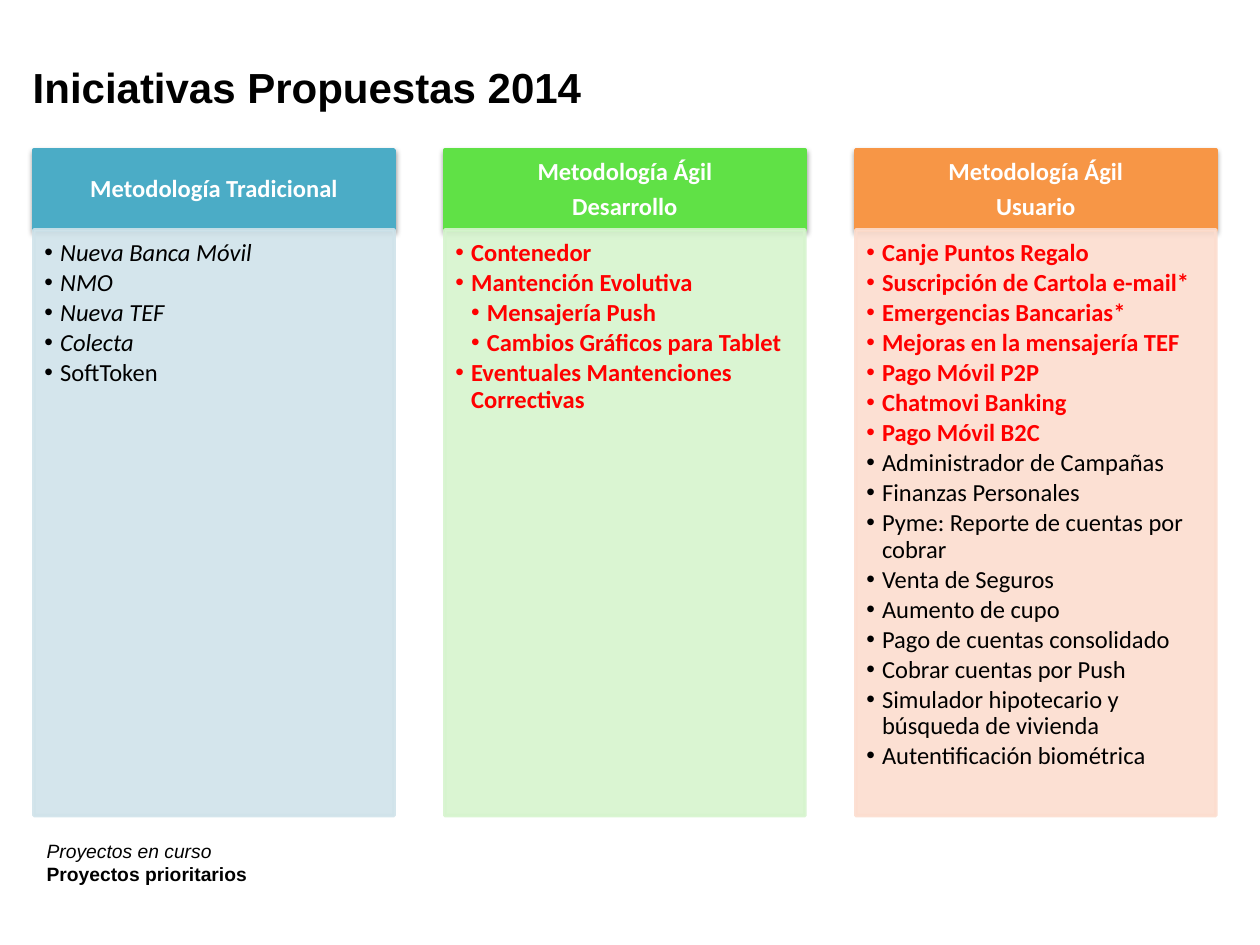
from pptx import Presentation
from pptx import util as u
from pptx.dml.color import RGBColor
from pptx.enum import shapes, text
from pptx.oxml import parse_xml
from pptx.oxml.ns import nsdecls, qn

Pt = u.Pt


class Theme:
    black, white, red = "000000", "FFFFFF", "FF0000"
    blue, pale_blue = "4BACC6", "D0E3EA"
    green, pale_green = "60E146", "D6F4CE"
    orange, pale_orange = "F79646", "FCDDCF"
    heading_font, column_font = "Arial", "Calibri"
    title_size, column_size, key_size = 24, 14, 11


def write(box, lines, *, font, size, color=Theme.black, align=text.PP_ALIGN.LEFT,
          anchor=text.MSO_ANCHOR.TOP, insets=(7.2, 3.6, 7.2, 3.6), spacing=1.0,
          after=0, bullet=False, wrap=True):
    """Fill box with lines, each a (text, overrides) pair; overrides take bold, italic, color, level."""
    frame = box.text_frame
    frame.word_wrap = wrap
    frame.auto_size = text.MSO_AUTO_SIZE.NONE
    frame.vertical_anchor = anchor
    frame.margin_left, frame.margin_top, frame.margin_right, frame.margin_bottom = map(Pt, insets)
    for number, (words, look) in enumerate(lines):
        para = frame.add_paragraph() if number else frame.paragraphs[0]
        level = look.get("level", 0)
        para.level = level
        para.alignment = align
        para.line_spacing = spacing
        para.space_before, para.space_after = Pt(0), Pt(after)
        props = para._p.get_or_add_pPr()
        props.set("marL", str(Pt(9 * (level + 1)) if bullet else 0))
        props.set("indent", str(Pt(-9) if bullet else 0))
        mark = '<a:buChar %s char="•"/>' if bullet else "<a:buNone %s/>"
        props.append(parse_xml(mark % nsdecls("a")))
        span = para.add_run()
        span.text = words
        span.font.name, span.font.size = font, Pt(size)
        span.font.bold = look.get("bold", False)
        span.font.italic = look.get("italic", False)
        span.font.color.rgb = RGBColor.from_string(look.get("color", color))


def paint(box, color, opacity=100):
    """Give box a fill and a 2 pt line of one color."""
    box.fill.solid()
    box.line.width = Pt(2)
    for fill in (box.fill, box.line.fill):
        fill.solid()
        fill.fore_color.rgb = RGBColor.from_string(color)
    if opacity < 100:
        for tint in box._element.spPr.iter(qn("a:srgbClr")):
            tint.append(parse_xml(f'<a:alpha {nsdecls("a")} val="{opacity * 1000}"/>'))


PLAIN = {}
CURRENT = {"italic": True}
BOLD = {"bold": True}
PRIORITY = {"bold": True, "color": Theme.red}
SUB_PRIORITY = {**PRIORITY, "level": 1}

COLUMNS = [
    (["Metodología Tradicional"], Theme.blue, Theme.pale_blue, [
        ("Nueva Banca Móvil", CURRENT),
        ("NMO", CURRENT),
        ("Nueva TEF", CURRENT),
        ("Colecta", CURRENT),
        ("SoftToken", PLAIN),
    ]),
    (["Metodología Ágil", "Desarrollo"], Theme.green, Theme.pale_green, [
        ("Contenedor", PRIORITY),
        ("Mantención Evolutiva", PRIORITY),
        ("Mensajería Push", SUB_PRIORITY),
        ("Cambios Gráficos para Tablet", SUB_PRIORITY),
        ("Eventuales Mantenciones Correctivas", PRIORITY),
    ]),
    (["Metodología Ágil", "Usuario"], Theme.orange, Theme.pale_orange, [
        ("Canje Puntos Regalo", PRIORITY),
        ("Suscripción de Cartola e-mail*", PRIORITY),
        ("Emergencias Bancarias*", PRIORITY),
        ("Mejoras en la mensajería TEF", PRIORITY),
        ("Pago Móvil P2P", PRIORITY),
        ("Chatmovi Banking", PRIORITY),
        ("Pago Móvil B2C", PRIORITY),
        ("Administrador de Campañas", PLAIN),
        ("Finanzas Personales", PLAIN),
        ("Pyme: Reporte de cuentas por cobrar", PLAIN),
        ("Venta de Seguros", PLAIN),
        ("Aumento de cupo", PLAIN),
        ("Pago de cuentas consolidado", PLAIN),
        ("Cobrar cuentas por Push", PLAIN),
        ("Simulador hipotecario y búsqueda de vivienda", PLAIN),
        ("Autentificación biométrica", PLAIN),
    ]),
]
LEFT, PITCH, WIDTH = 19.4, 234.8, 205.8
HEADER_TOP, HEADER_HEIGHT = 85.7, 45.8
LIST_TOP, LIST_HEIGHT = 131.3, 334.8
SHADOW = (f'<a:effectLst {nsdecls("a")}><a:outerShdw blurRad="{Pt(3.1)}" dist="{Pt(1.6)}" '
          'dir="5400000" rotWithShape="0"><a:srgbClr val="000000"><a:alpha val="38000"/>'
          '</a:srgbClr></a:outerShdw></a:effectLst>')

deck = Presentation()
deck.slide_width, deck.slide_height = Pt(720), Pt(540)
page = deck.slides.add_slide(deck.slide_layouts.get_by_name("Comparison"))
title, *bodies = list(page.placeholders)[:5]
*list_boxes, key = bodies

title.left, title.top, title.width, title.height = Pt(11.5), Pt(31.7), Pt(575.3), Pt(36)
write(title, [("Iniciativas Propuestas 2014", BOLD)],
      font=Theme.heading_font, size=Theme.title_size)

for index, (heading, color, pale, items) in enumerate(COLUMNS):
    left = Pt(LEFT + index * PITCH)
    header = page.shapes.add_shape(shapes.MSO_SHAPE.RECTANGLE, left, Pt(HEADER_TOP),
                                   Pt(WIDTH), Pt(HEADER_HEIGHT))
    paint(header, color)
    header._element.spPr.append(parse_xml(SHADOW))
    write(header, [(words, BOLD) for words in heading], font=Theme.column_font,
          size=Theme.column_size, color=Theme.white, align=text.PP_ALIGN.CENTER,
          anchor=text.MSO_ANCHOR.MIDDLE, insets=(8, 4.5, 8, 4.5), spacing=0.9, after=4.8)

    panel = list_boxes[index]
    panel.left, panel.top, panel.width, panel.height = left, Pt(LIST_TOP), Pt(WIDTH), Pt(LIST_HEIGHT)
    paint(panel, pale, opacity=90)
    write(panel, items, font=Theme.column_font, size=Theme.column_size,
          insets=(6, 6, 8, 9), spacing=0.9, after=2, bullet=True)
    page.shapes._spTree.append(panel._element)  # the panel covers the header's shadow

key.left, key.top, key.width, key.height = Pt(LEFT), Pt(476), Pt(129.6), Pt(33.8)
write(key, [("Proyectos en curso", CURRENT), ("Proyectos prioritarios", BOLD)],
      font=Theme.heading_font, size=Theme.key_size, wrap=False)

deck.save("out.pptx")
